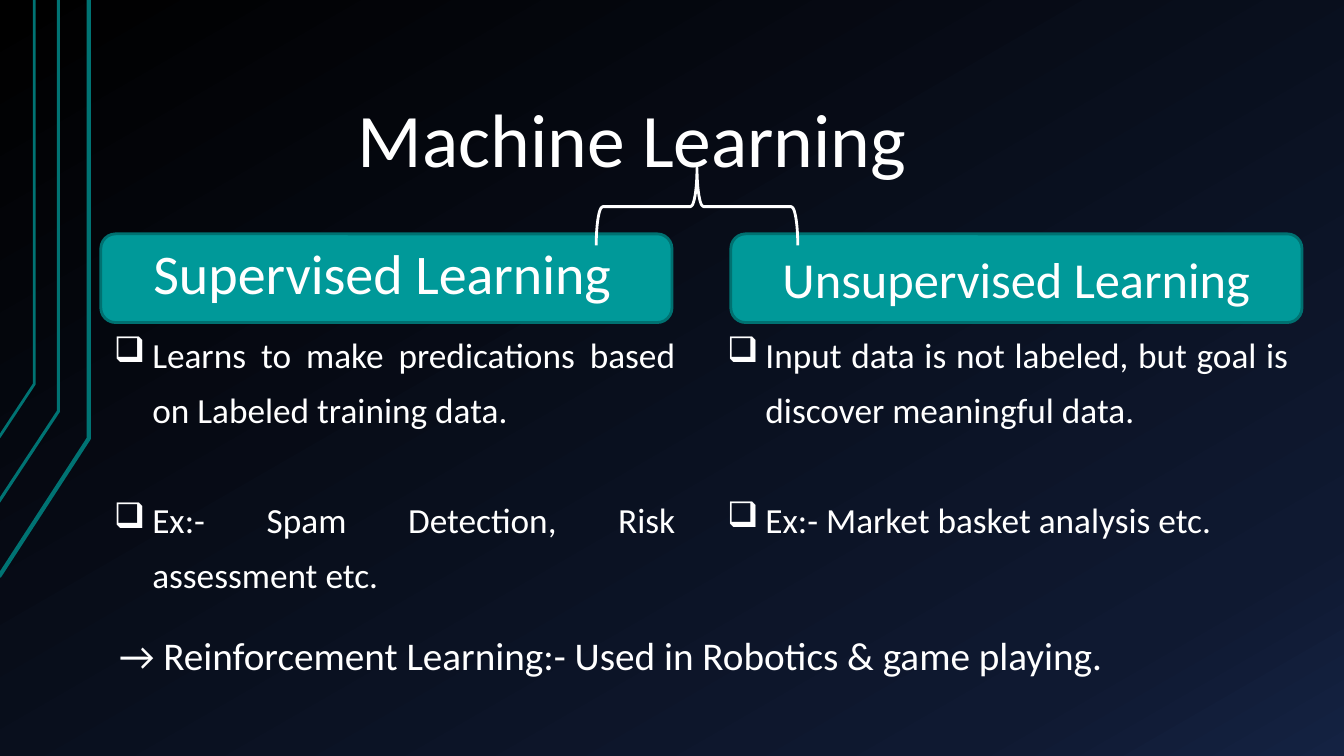
import copy

import pptx
import pptx.dml.color
import pptx.enum.shapes
import pptx.enum.text
import pptx.oxml.ns
import pptx.util
from lxml import etree

RGBColor = pptx.dml.color.RGBColor
Shape = pptx.enum.shapes.MSO_SHAPE
Anchor = pptx.enum.text.MSO_ANCHOR
Align = pptx.enum.text.PP_ALIGN
Pt = pptx.util.Pt

WHITE = RGBColor(0xFF, 0xFF, 0xFF)
TEAL = RGBColor(0x00, 0x99, 0x99)
DARK_TEAL = RGBColor(0x00, 0x71, 0x71)
RAIL_TEAL = RGBColor(0x00, 0x73, 0x73)
GRADIENT = [
    (0, RGBColor(0x00, 0x00, 0x00)),
    (0.85, RGBColor(0x0F, 0x19, 0x31)),
    (1, RGBColor(0x14, 0x22, 0x42)),
]

# Grid of 160 columns by 90 rows
SLIDE_WIDTH = pptx.util.Inches(13.333)
SLIDE_HEIGHT = pptx.util.Inches(7.5)
COLUMNS, ROWS = 160, 90
LEFT_COLUMN, RIGHT_COLUMN = 12, 87
HEADING_ROW, HEADING_WIDTH, HEADING_HEIGHT = 27.84, 68, 10.56
LIST_WIDTH, LIST_HEIGHT = 70, 42.5

FONT = {"name": "Calibri", "color": WHITE}
WIDE_INSETS = {
    "margin_left": Pt(9.45), "margin_right": Pt(9.45),
    "margin_top": Pt(5), "margin_bottom": Pt(5),
}
LIST_SIZE = 25.2
LIST_INDENT = pptx.util.Inches(0.38)
LIST_GAP = Pt(39.5)

# End at the left edge, bend and line width of each rail, in grid units
RAILS = [
    ((-0.12, 68.64), (10.56, 52.2), 3),
    ((-0.24, 59.88), (6.96, 48.96), 2.25),
    ((-0.12, 52.08), (4.08, 45.72), 2),
]


def column(count):
    return round(SLIDE_WIDTH * count / COLUMNS)


def row(count):
    return round(SLIDE_HEIGHT * count / ROWS)


def place(left, top, width, height):
    return column(left), row(top), column(width), row(height)


def apply_format(target, values):
    for name, value in values.items():
        if name == "color":
            target.color.rgb = value
        else:
            setattr(target, name, value)


def write_text(paragraph, text, size, **paragraph_format):
    apply_format(paragraph, paragraph_format)
    run = paragraph.add_run()
    run.text = text
    apply_format(run.font, {**FONT, "size": Pt(size)})


def set_background(slide):
    fill = slide.background.fill
    fill.gradient()
    fill.gradient_angle = 300
    stop_list = slide.element.find(".//" + pptx.oxml.ns.qn("a:gsLst"))
    stop_list.append(copy.deepcopy(stop_list[-1]))
    for stop, (position, color) in zip(fill.gradient_stops, GRADIENT):
        apply_format(stop, {"position": position, "color": color})


def add_rail(slide, end, bend, width):
    builder = slide.shapes.build_freeform(column(end[0]), row(end[1]))
    builder.add_line_segments(
        [(column(bend[0]), row(bend[1])), (column(bend[0]), 0)], close=False)
    rail = builder.convert_to_shape()
    rail.shadow.inherit = False
    rail.fill.background()
    apply_format(rail.line, {"color": RAIL_TEAL, "width": Pt(width)})


def add_preset(slide, kind, box, line_color, fill_color=None):
    shape = slide.shapes.add_shape(kind, *place(*box))
    shape.shadow.inherit = False
    if fill_color is None:
        shape.fill.background()
    else:
        shape.fill.solid()
        shape.fill.fore_color.rgb = fill_color
    apply_format(shape.line, {"color": line_color, "width": Pt(2)})
    return shape


def add_heading(slide, left):
    box = left, HEADING_ROW, HEADING_WIDTH, HEADING_HEIGHT
    return add_preset(slide, Shape.ROUNDED_RECTANGLE, box, DARK_TEAL, TEAL)


def add_text_frame(slide, box, **frame_format):
    frame = slide.shapes.add_textbox(*place(*box)).text_frame
    apply_format(frame, {"word_wrap": True, **frame_format})
    return frame


def add_bullet(paragraph):
    properties = paragraph._p.get_or_add_pPr()
    properties.set("marL", str(LIST_INDENT))
    properties.set("indent", str(-LIST_INDENT))
    bullet = etree.SubElement(properties, pptx.oxml.ns.qn("a:buChar"))
    bullet.set("char", "❑")


def add_list(slide, left, top, items):
    frame = add_text_frame(slide, (left, top, LIST_WIDTH, LIST_HEIGHT),
                           vertical_anchor=Anchor.BOTTOM, **WIDE_INSETS)
    for index, item in enumerate(items):
        paragraph = frame.add_paragraph() if index else frame.paragraphs[0]
        write_text(paragraph, item, LIST_SIZE, alignment=Align.JUSTIFY,
                   line_spacing=1.3, space_before=LIST_GAP if index else 0)
        add_bullet(paragraph)


def add_title(slide, text):
    title = slide.shapes.title
    left, top, width, height = place(41.04, 6.6, 72.96, 16.08)
    apply_format(title, {"left": left, "top": top,
                         "width": width, "height": height})
    apply_format(title.text_frame, {
        "vertical_anchor": Anchor.BOTTOM, "word_wrap": True,
        "auto_size": pptx.enum.text.MSO_AUTO_SIZE.NONE, **WIDE_INSETS})
    write_text(title.text_frame.paragraphs[0], text, 54,
               alignment=Align.LEFT, line_spacing=0.9)


def main():
    presentation = pptx.Presentation()
    apply_format(presentation, {"slide_width": SLIDE_WIDTH,
                                "slide_height": SLIDE_HEIGHT})
    slide = presentation.slides.add_slide(
        presentation.slide_layouts.get_by_name("Title Only"))

    # Background and decoration
    set_background(slide)
    for end, bend, width in RAILS:
        add_rail(slide, end, bend, width)

    add_title(slide, "Machine Learning")

    # Two branches under the brace
    add_heading(slide, LEFT_COLUMN)
    supervised = add_text_frame(slide, (13, HEADING_ROW, 65, 9.24))
    write_text(supervised.paragraphs[0], "Supervised Learning", 40,
               alignment=Align.CENTER)
    unsupervised = add_heading(slide, RIGHT_COLUMN).text_frame
    unsupervised.vertical_anchor = Anchor.MIDDLE
    write_text(unsupervised.paragraphs[0], "Unsupervised Learning", 36,
               alignment=Align.CENTER)
    brace = add_preset(slide, Shape.RIGHT_BRACE, (78.36, 12.6, 9.24, 24), WHITE)
    brace.rotation = 270

    # Explanations
    add_list(slide, LEFT_COLUMN, 29.28, [
        "Learns to make predications based on Labeled training data.",
        "Ex:- Spam Detection, Risk assessment etc.",
    ])
    add_list(slide, RIGHT_COLUMN - 2, 22.68, [
        "Input data is not labeled, but goal is discover meaningful data.",
        "Ex:- Market basket analysis etc.",
    ])

    # Third kind of learning
    closing = add_text_frame(slide, (13, 74.52, 144, 6.96))
    write_text(closing.paragraphs[0],
               "→ Reinforcement Learning:- Used in Robotics & game playing.", 28)

    presentation.save("out.pptx")


if __name__ == "__main__":
    main()
